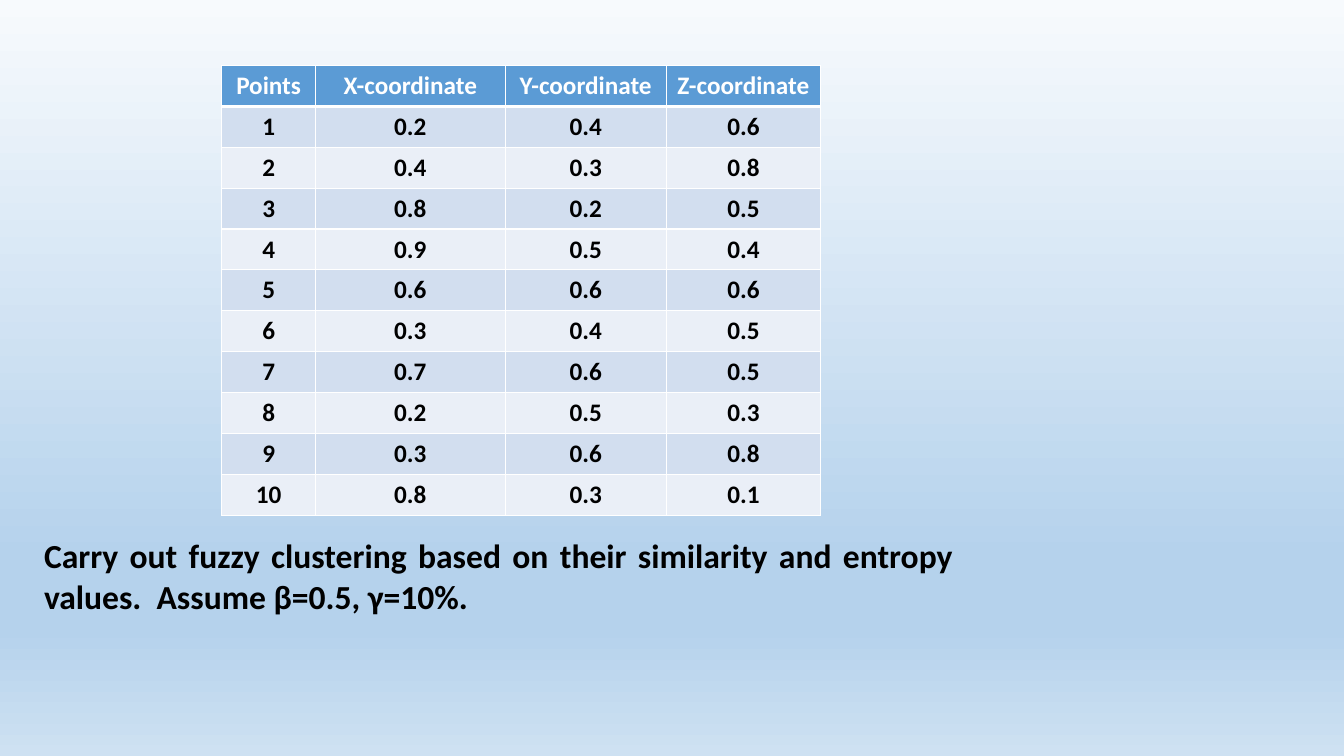
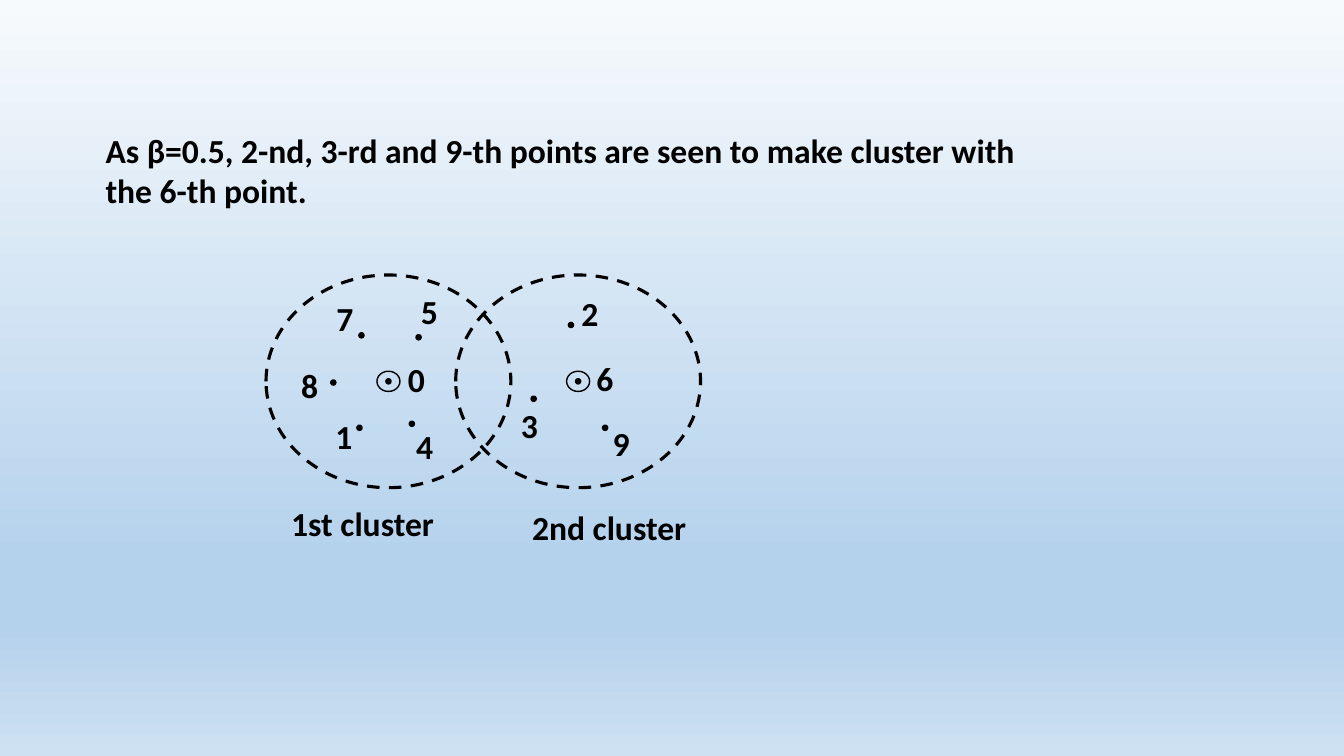
"""Build two slides on entropy-based fuzzy clustering."""
from dataclasses import dataclass

from lxml.etree import SubElement
from pptx import Presentation
from pptx.dml.color import RGBColor
from pptx.enum.dml import MSO_LINE
from pptx.enum.shapes import MSO_SHAPE
from pptx.enum.text import MSO_AUTO_SIZE, PP_ALIGN
from pptx.oxml.ns import qn
from pptx.util import Cm, Pt

FONT = "Calibri"
BLACK, WHITE = "000000", "FFFFFF"
HEADER_FILL, BAND_FILLS = "5B9BD5", ("D2DEEF", "EAEFF7")
BACKGROUND_STOPS = ((0, "F7FAFD"), (74, "B5D2EC"), (83, "B5D2EC"), (100, "CEE1F2"))

HEADERS = ("Points", "X-coordinate", "Y-coordinate", "Z-coordinate")
COORDINATES = (
    (0.2, 0.4, 0.6), (0.4, 0.3, 0.8), (0.8, 0.2, 0.5), (0.9, 0.5, 0.4),
    (0.6, 0.6, 0.6), (0.3, 0.4, 0.5), (0.7, 0.6, 0.5), (0.2, 0.5, 0.3),
    (0.3, 0.6, 0.8), (0.8, 0.3, 0.1),
)
COLUMN_WIDTHS = (2.36, 4.78, 4.06, 3.89)
ROW_HEIGHT = 1.03

CLUSTER_SIZE, RING_SIZE, DOT_SIZE = (6.17, 5.36), (0.58, 0.51), (0.13, 0.13)


@dataclass(frozen=True)
class Point:
    name: str
    x: float
    y: float
    label_left: float
    label_top: float


@dataclass(frozen=True)
class Cluster:
    caption: str
    caption_left: float
    caption_top: float
    center: Point
    members: tuple[Point, ...]


CLUSTERS = (
    Cluster("1st cluster", 7.09, 12.55, Point("0", 9.79, 9.61, 10.03, 8.92), (
        Point("1", 9.06, 10.78, 8.2, 10.36),
        Point("4", 10.38, 10.68, 10.24, 10.62),
        Point("8", 8.4, 9.64, 7.34, 9.07),
        Point("7", 9.11, 8.45, 8.23, 7.37),
        Point("5", 10.55, 8.5, 10.36, 7.21),
    )),
    Cluster("2nd cluster", 13.16, 12.65, Point("6", 14.57, 9.61, 14.78, 8.89), (
        Point("2", 14.39, 8.19, 14.4, 7.26),
        Point("9", 15.25, 10.78, 15.19, 10.54),
        Point("3", 13.45, 10.05, 12.88, 10.08),
    )),
)


def rgb(color: str) -> RGBColor:
    return RGBColor.from_string(color)


def set_background(master) -> None:
    fill = master.background.fill
    fill.gradient()
    fill.gradient_angle = 270
    stops = master.element.find(".//" + qn("a:gsLst"))
    for stop in list(stops):
        stops.remove(stop)
    for position, color in BACKGROUND_STOPS:
        stop = SubElement(stops, qn("a:gs"), pos=str(position * 1000))
        SubElement(stop, qn("a:srgbClr"), val=color)


def write(tf, text: str, *, size: float = 24, color: str = BLACK,
          align: PP_ALIGN = PP_ALIGN.LEFT) -> None:
    p = tf.paragraphs[0]
    p.alignment = align
    r = p.add_run()
    r.text = text
    r.font.name = FONT
    r.font.size = Pt(size)
    r.font.bold = True
    r.font.color.rgb = rgb(color)


def add_text(shapes, text: str, left: float, top: float, width: float,
             height: float = 1.27, **style) -> None:
    sp = shapes.add_textbox(Cm(left), Cm(top), Cm(width), Cm(height))
    tf = sp.text_frame
    tf.word_wrap = True
    tf.auto_size = MSO_AUTO_SIZE.SHAPE_TO_FIT_TEXT
    write(tf, text, **style)


def add_ellipse(shapes, center: Point, size: tuple[float, float], *,
                fill: str | None = None, weight: float = 1,
                dashed: bool = False) -> None:
    width, height = size
    sp = shapes.add_shape(MSO_SHAPE.OVAL, Cm(center.x - width / 2),
                          Cm(center.y - height / 2), Cm(width), Cm(height))
    sp.shadow.inherit = False
    if fill:
        sp.fill.solid()
        sp.fill.fore_color.rgb = rgb(fill)
    else:
        sp.fill.background()
    sp.line.color.rgb = rgb(BLACK)
    sp.line.width = Pt(weight)
    if dashed:
        sp.line.dash_style = MSO_LINE.DASH


def add_point(shapes, point: Point) -> None:
    add_ellipse(shapes, point, DOT_SIZE, fill=BLACK)
    add_text(shapes, point.name, point.label_left, point.label_top, 1.07)


def add_cluster(shapes, cluster: Cluster) -> None:
    add_ellipse(shapes, cluster.center, CLUSTER_SIZE, weight=2.25, dashed=True)
    add_ellipse(shapes, cluster.center, RING_SIZE)
    for point in (cluster.center, *cluster.members):
        add_point(shapes, point)
    add_text(shapes, cluster.caption, cluster.caption_left, cluster.caption_top, 4.85)


def format_cell(cell, text: str, fill: str, color: str, bottom: float) -> None:
    write(cell.text_frame, text, size=18, color=color, align=PP_ALIGN.CENTER)
    tc_pr = cell._tc.get_or_add_tcPr()
    for side, weight in (("L", 1), ("R", 1), ("T", 1), ("B", bottom)):
        line = SubElement(tc_pr, qn(f"a:ln{side}"), w=str(Pt(weight)))
        solid = SubElement(line, qn("a:solidFill"))
        SubElement(solid, qn("a:srgbClr"), val=WHITE)
    cell.fill.solid()
    cell.fill.fore_color.rgb = rgb(fill)


def add_coordinate_table(shapes, left: float, top: float) -> None:
    rows = [HEADERS] + [(i, *xyz) for i, xyz in enumerate(COORDINATES, 1)]
    table = shapes.add_table(len(rows), len(HEADERS), Cm(left), Cm(top),
                             Cm(sum(COLUMN_WIDTHS)), Cm(ROW_HEIGHT * len(rows))).table
    for column, width in zip(table.columns, COLUMN_WIDTHS):
        column.width = Cm(width)
    for i, values in enumerate(rows):
        table.rows[i].height = Cm(ROW_HEIGHT)
        header = i == 0
        fill = HEADER_FILL if header else BAND_FILLS[(i - 1) % 2]
        for j, value in enumerate(values):
            format_cell(table.cell(i, j), str(value), fill,
                        WHITE if header else BLACK, 3 if header else 1)


def build_data_slide(prs) -> None:
    s = prs.slides.add_slide(prs.slide_layouts[6])
    add_text(s.shapes, "Carry out fuzzy clustering based on their similarity and "
             "entropy values.  Assume β=0.5, γ=10%.",
             0.86, 13.36, 23.42, 2.31, align=PP_ALIGN.JUSTIFY)
    add_coordinate_table(s.shapes, 5.59, 1.65)


def build_cluster_slide(prs) -> None:
    s = prs.slides.add_slide(prs.slide_layouts[6])
    add_text(s.shapes, "As β=0.5, 2-nd, 3-rd and 9-th points are seen to make "
             "cluster with the 6-th point.", 2.41, 3.14, 23.42, 2.31)
    diagram = s.shapes.add_group_shape().shapes
    for cluster in CLUSTERS:
        add_cluster(diagram, cluster)


def main() -> None:
    prs = Presentation()
    prs.slide_width, prs.slide_height = Cm(33.87), Cm(19.05)
    set_background(prs.slide_master)
    build_data_slide(prs)
    build_cluster_slide(prs)
    prs.save("out.pptx")


if __name__ == "__main__":
    main()
